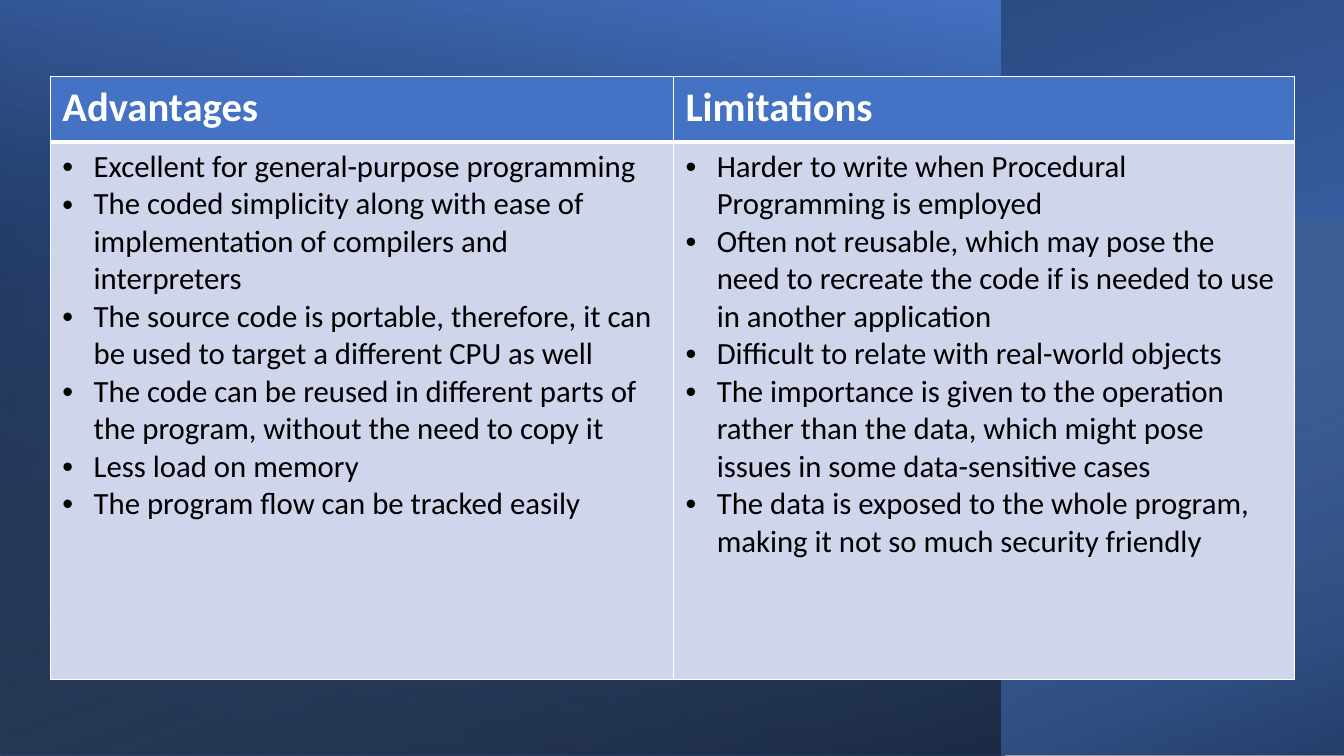
from lxml.etree import SubElement
from pptx import Presentation
from pptx.dml.color import RGBColor
from pptx.enum.shapes import MSO_SHAPE
from pptx.oxml.ns import qn
from pptx.util import Inches, Pt

BLUE, NAVY, PALE, WHITE, BLACK = "4472C4", "203864", "CFD5EA", "FFFFFF", "000000"

COLUMNS = {
    "Advantages": [
        "Excellent for general-purpose programming",
        "The coded simplicity along with ease of implementation of compilers and interpreters",
        "The source code is portable, therefore, it can be used to target a different CPU as well",
        "The code can be reused in different parts of the program, without the need to copy it",
        "Less load on memory",
        "The program flow can be tracked easily",
    ],
    "Limitations": [
        "Harder to write when Procedural Programming is employed",
        "Often not reusable, which may pose the need to recreate the code "
        "if is needed to use in another application",
        "Difficult to relate with real-world objects",
        "The importance is given to the operation rather than the data, "
        "which might pose issues in some data-sensitive cases",
        "The data is exposed to the whole program, making it not so much security friendly",
    ],
}


def paint(color_format, color):
    color_format.rgb = RGBColor.from_string(color)


def add_gradient_panel(slide, left, top, width, height, rotation, stops, angle):
    """Mirrored rectangle; stops are (position, colour, opacity), all in percent."""
    panel = slide.shapes.add_shape(
        MSO_SHAPE.RECTANGLE, Inches(left), Inches(top), Inches(width), Inches(height))
    panel.shadow.inherit = False
    panel.line.fill.background()
    panel.rotation = rotation
    properties = panel._element.spPr
    properties.get_or_add_xfrm().set("flipH", "1")
    panel.fill.gradient()
    panel.fill.gradient_angle = 360 - angle
    for stop, (position, color, _) in zip(panel.fill.gradient_stops, stops):
        stop.position = position / 100
        paint(stop.color, color)
    for color_node, (_, _, opacity) in zip(properties.iter(qn("a:srgbClr")), stops):
        if opacity < 100:
            SubElement(color_node, qn("a:alpha"), val=str(opacity * 1000))


def set_borders(cell, **widths):
    """Draw white borders; widths in points are keyed by side (L, R, T, B)."""
    properties = cell._tc.get_or_add_tcPr()
    for index, (side, width) in enumerate(widths.items()):
        line = SubElement(properties, qn(f"a:ln{side}"), w=str(Pt(width)))
        fill = SubElement(line, qn("a:solidFill"))
        SubElement(fill, qn("a:srgbClr"), val=WHITE)
        properties.insert(index, line)


def add_bullet(para):
    properties = para._p.get_or_add_pPr()
    properties.set("marL", str(Inches(0.31)))
    properties.set("indent", str(Inches(-0.31)))
    SubElement(properties, qn("a:buFont"), typeface="Arial")
    SubElement(properties, qn("a:buChar"), char="•")


def fill_cell(cell, lines, size, color, background, bold=False, bullets=False):
    cell.fill.solid()
    paint(cell.fill.fore_color, background)
    cell.margin_left = cell.margin_right = Inches(0.12)
    cell.margin_top = cell.margin_bottom = Inches(0.06)
    frame = cell.text_frame
    for index, line in enumerate(lines):
        para = frame.add_paragraph() if index else frame.paragraphs[0]
        if bullets:
            add_bullet(para)
        span = para.add_run()
        span.text = line
        span.font.name = "Calibri"
        span.font.size = Pt(size)
        span.font.bold = bold
        paint(span.font.color, color)


def add_comparison_table(slide):
    table = slide.shapes.add_table(
        2, len(COLUMNS), Inches(0.5), Inches(0.76), Inches(12.33), Inches(5.98)).table
    for row, height in zip(table.rows, (0.65, 5.33)):
        row.height = Inches(height)
    for column, width in zip(table.columns, (6.18, 6.16)):
        column.width = Inches(width)
    for index, (heading, points) in enumerate(COLUMNS.items()):
        header, body = table.cell(0, index), table.cell(1, index)
        fill_cell(header, [heading], 29, WHITE, BLUE, bold=True)
        fill_cell(body, points, 22, BLACK, PALE, bullets=True)
        set_borders(header, L=1, R=1, T=1, B=3)
        set_borders(body, L=1, R=1, T=3, B=1)


def main():
    deck = Presentation()
    deck.slide_width, deck.slide_height = Inches(13.33), Inches(7.5)
    page = deck.slides.add_slide(deck.slide_layouts[6])
    add_gradient_panel(page, 2.92, -2.92, 7.5, 13.33, 270,
                       [(8, BLUE, 100), (100, NAVY, 100)], 200)
    add_gradient_panel(page, 0, 0, 9.92, 7.5, 180,
                       [(8, BLACK, 52), (100, BLUE, 100)], 80)
    add_gradient_panel(page, 3.99, -1.84, 5.35, 13.34, 270,
                       [(0, "9DC3E6", 0), (100, BLACK, 46)], 20)
    add_comparison_table(page)
    deck.save("out.pptx")


if __name__ == "__main__":
    main()
